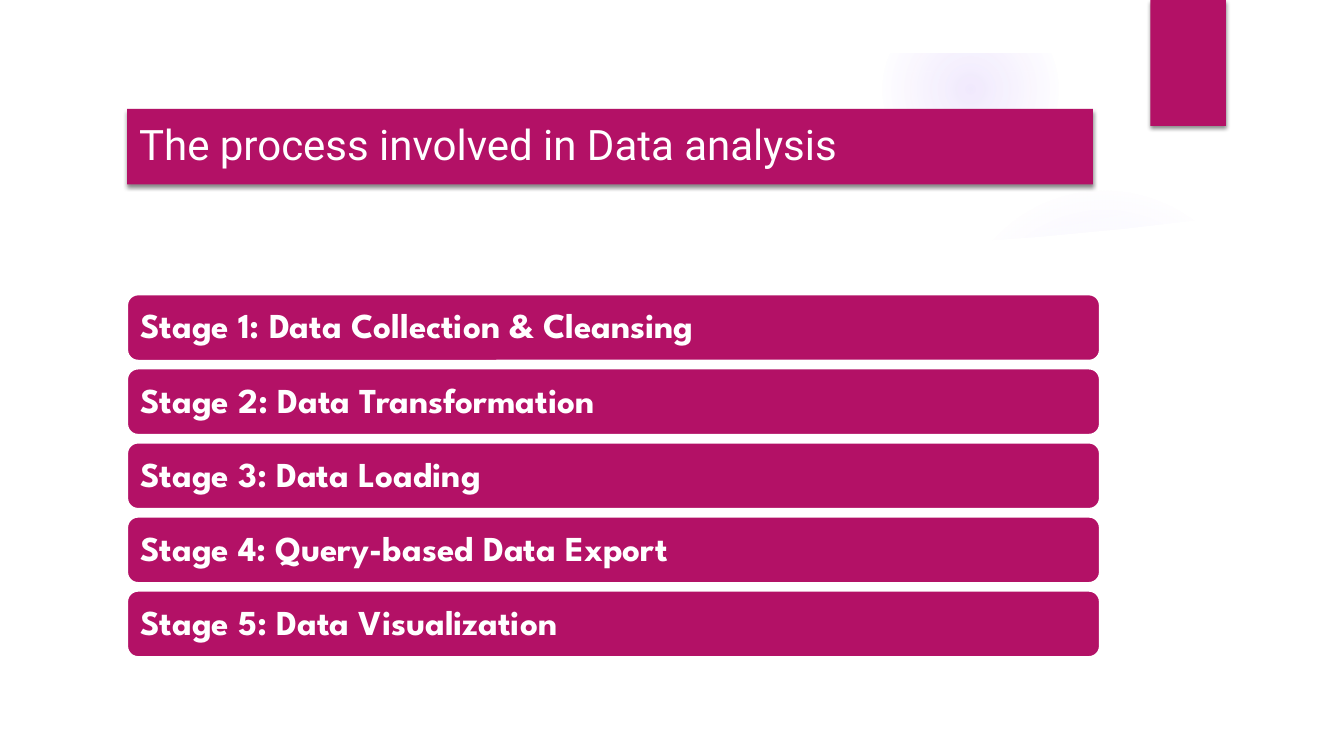
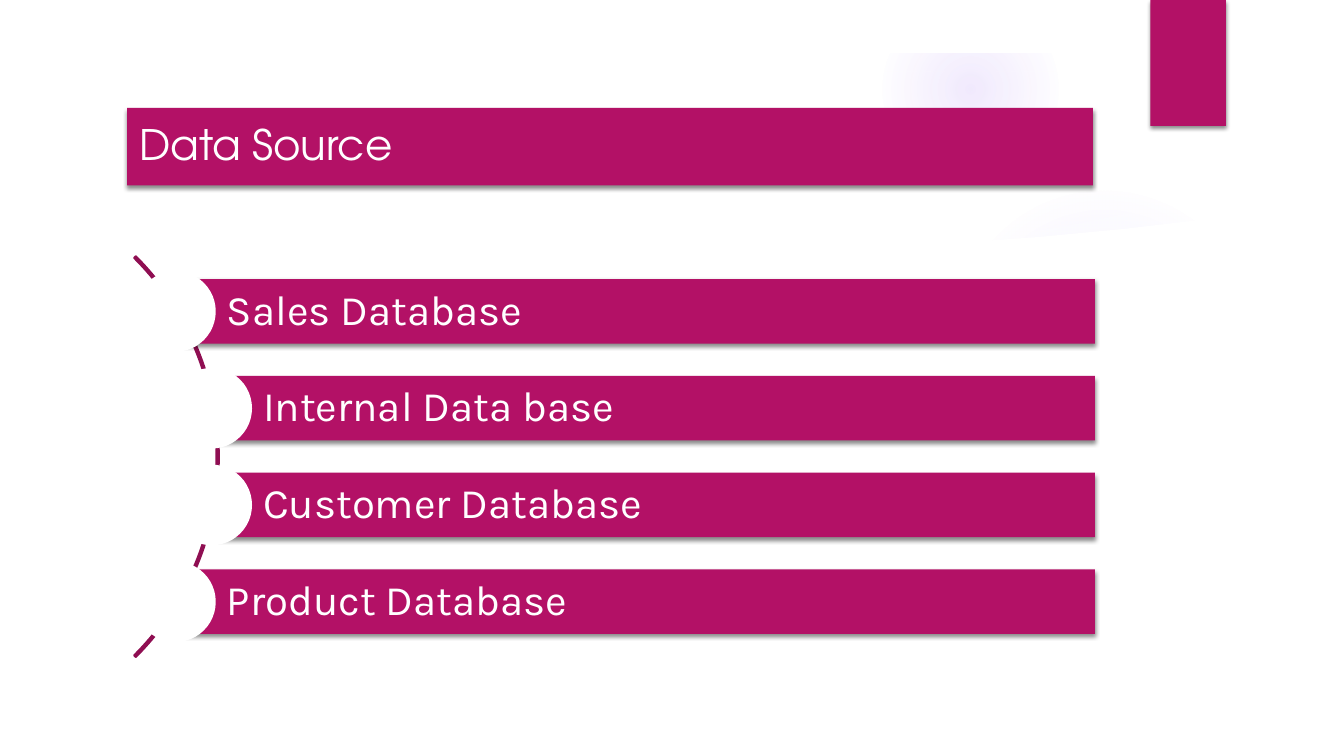
import pptx
import pptx.util
import pptx.oxml
import pptx.oxml.ns
import pptx.dml.color
import pptx.enum.shapes
import pptx.enum.text

Inches, Pt = pptx.util.Inches, pptx.util.Pt
RGBColor = pptx.dml.color.RGBColor
SHAPE = pptx.enum.shapes.MSO_SHAPE
qn = pptx.oxml.ns.qn
NS = pptx.oxml.ns.nsdecls("a")

MAGENTA = RGBColor(0xB3, 0x11, 0x66)
PLUM = RGBColor(0x8F, 0x0E, 0x52)
VIOLET = RGBColor(0x9B, 0x6B, 0xF2)
WHITE = RGBColor(0xFF, 0xFF, 0xFF)
BLACK = RGBColor(0, 0, 0)

PROCESS = {
    "title": "The process involved in Data analysis", "font": "Roboto",
    "top": 1.08, "height": 0.75,
    "stages": ["Data Collection & Cleansing", "Data Transformation", "Data Loading",
               "Query-based Data Export", "Data Visualization"],
}
SOURCES = {
    "title": "Data Source", "font": "TeX Gyre Adventor",
    "top": 1.07, "height": 0.77,
    "databases": [("Sales Database", 1.74), ("Internal Data base", 2.1),
                  ("Customer Database", 2.1), ("Product Database", 1.74)],
}
GLOWS = [
    ((9.41, 1.83, 3.08), [(0, 7), (36, 6), (69, 0)]),
    ((8.75, 0.01, 1.75), [(0, 14), (36, 7), (73, 0)]),
]
SHEEN = [(9.34, 2.5), (10.6, 2.45), (11.8, 2.31), (12.89, 2.14), (12.83, 1.66), (12.36, 1.81),
         (11.9, 1.94), (11.44, 2.06), (10.98, 2.16), (10.53, 2.25), (10.1, 2.32), (9.3, 2.43)]
PANEL = [(0.5, 2.04), (0.5, 7), (12.84, 7), (12.84, 2.04), (12, 2.17), (11.16, 2.27),
         (10.32, 2.35), (9.49, 2.41), (8.67, 2.45), (7.6, 2.47), (6.57, 2.48), (5.35, 2.45),
         (4.01, 2.38), (2.83, 2.3), (1.59, 2.18)]


def style(sp, fill=None, line=None, shadow=False):
    sp.shadow.inherit = False
    if fill is None:
        sp.fill.background()
    else:
        sp.fill.solid()
        sp.fill.fore_color.rgb = fill
    if line is None:
        sp.line.fill.background()
    else:
        sp.line.color.rgb = line
        sp.line.width = Pt(1.5)
    if shadow:
        sp.element.spPr.find(qn("a:effectLst")).append(pptx.oxml.parse_xml(
            f'<a:outerShdw {NS} blurRad="{Pt(3)}" dist="{Pt(2)}" dir="5400000" rotWithShape="0">'
            f'<a:srgbClr val="{BLACK}"><a:alpha val="45000"/></a:srgbClr></a:outerShdw>'))


def add_shape(slide, kind, box, **look):
    sp = slide.shapes.add_shape(kind, *map(Inches, box))
    style(sp, **look)
    return sp


def add_outline(slide, points, fill):
    pts = [(Inches(x), Inches(y)) for x, y in points]
    builder = slide.shapes.build_freeform(*pts[0], scale=1.0)
    builder.add_line_segments(pts[1:], close=True)
    sp = builder.convert_to_shape()
    style(sp, fill)
    return sp


def add_glow(slide, box, stops):
    left, top, size = box
    sp = add_shape(slide, SHAPE.OVAL, (left, top, size, size))
    stop_xml = "".join(
        f'<a:gs pos="{pos * 1000}"><a:srgbClr val="{VIOLET}"><a:alpha val="{alpha * 1000}"/>'
        f'</a:srgbClr></a:gs>' for pos, alpha in stops)
    grad = pptx.oxml.parse_xml(
        f'<a:gradFill {NS} rotWithShape="1"><a:gsLst>{stop_xml}</a:gsLst><a:path path="circle">'
        '<a:fillToRect l="50000" t="50000" r="50000" b="50000"/></a:path></a:gradFill>')
    spPr = sp.element.spPr
    spPr.replace(spPr.find(qn("a:noFill")), grad)
    return sp


def set_text(sp, text, font, size, inset, left_inset=None, bold=False):
    tf = sp.text_frame
    tf.word_wrap = True
    tf.auto_size = pptx.enum.text.MSO_AUTO_SIZE.NONE
    tf.vertical_anchor = pptx.enum.text.MSO_ANCHOR.MIDDLE
    tf.margin_top = tf.margin_right = tf.margin_bottom = Inches(inset)
    tf.margin_left = Inches(inset if left_inset is None else left_inset)
    p = tf.paragraphs[0]
    p.alignment = pptx.enum.text.PP_ALIGN.LEFT
    p.line_spacing = 0.9
    r = p.add_run()
    r.text = text
    r.font.name, r.font.size, r.font.bold = font, Pt(size), bold
    r.font.color.rgb = WHITE


def decorate_layout(layout, slide):
    parts = [add_glow(slide, box, stops) for box, stops in GLOWS]
    sheen = add_outline(slide, SHEEN, WHITE)
    sheen.element.spPr.find(qn("a:solidFill"))[0].append(
        pptx.oxml.parse_xml(f'<a:alpha {NS} val="20000"/>'))
    panel = add_outline(slide, PANEL, WHITE)
    frame = add_shape(slide, SHAPE.FRAME, (0, 0, 13.33, 7.5), fill=WHITE)
    frame.adjustments[0] = 0.07
    tab = add_shape(slide, SHAPE.RECTANGLE, (11.41, 0, 0.75, 1.25), fill=MAGENTA, shadow=True)
    for sp in parts + [sheen, panel, frame, tab]:
        layout.shapes.element.append(sp.element)


def add_title(slide, content):
    sp = slide.shapes.title
    sp.left, sp.top, sp.width, sp.height = map(
        Inches, (1.26, content["top"], 9.58, content["height"]))
    sp.element.spPr.append(pptx.oxml.parse_xml(
        f'<a:prstGeom {NS} prst="roundRect"><a:avLst/></a:prstGeom>'))
    style(sp, MAGENTA, shadow=True)
    set_text(sp, content["title"], content["font"], 30, 0.12)


def add_stages(slide, stages):
    first, last = 2.92, 5.86
    pitch = (last - first) / (len(stages) - 1)
    for i, stage in enumerate(stages):
        sp = add_shape(slide, SHAPE.ROUNDED_RECTANGLE, (1.26, first + i * pitch, 9.65, 0.66),
                       fill=MAGENTA, line=WHITE)
        set_text(sp, f"Stage {i + 1}: {stage}", "League Spartan", 25, 0.1, bold=True)


def add_databases(slide, databases):
    arc = add_shape(slide, SHAPE.BLOCK_ARC, (-3.45, 1.72, 5.62, 5.62), line=PLUM)
    for i, value in enumerate((189, 27, 0.004)):
        arc.adjustments[i] = value
    first, pitch, height, right, dot = 2.77, 0.96, 0.64, 10.86, 0.8
    for i, (name, left) in enumerate(databases):
        top = first + i * pitch
        bar = add_shape(slide, SHAPE.RECTANGLE, (left, top, right - left, height),
                        fill=MAGENTA, shadow=True)
        set_text(bar, name, "Karla", 30, 0.08, left_inset=0.51)
        add_shape(slide, SHAPE.OVAL, (left - dot / 2, top + (height - dot) / 2, dot, dot),
                  fill=WHITE)


def main():
    prs = pptx.Presentation()
    prs.slide_width, prs.slide_height = Inches(13.33), Inches(7.5)
    layout = prs.slide_layouts[5]
    process, sources = (prs.slides.add_slide(layout) for _ in range(2))
    decorate_layout(layout, process)
    add_title(process, PROCESS)
    add_stages(process, PROCESS["stages"])
    add_title(sources, SOURCES)
    add_databases(sources, SOURCES["databases"])
    prs.save("out.pptx")


if __name__ == "__main__":
    main()
